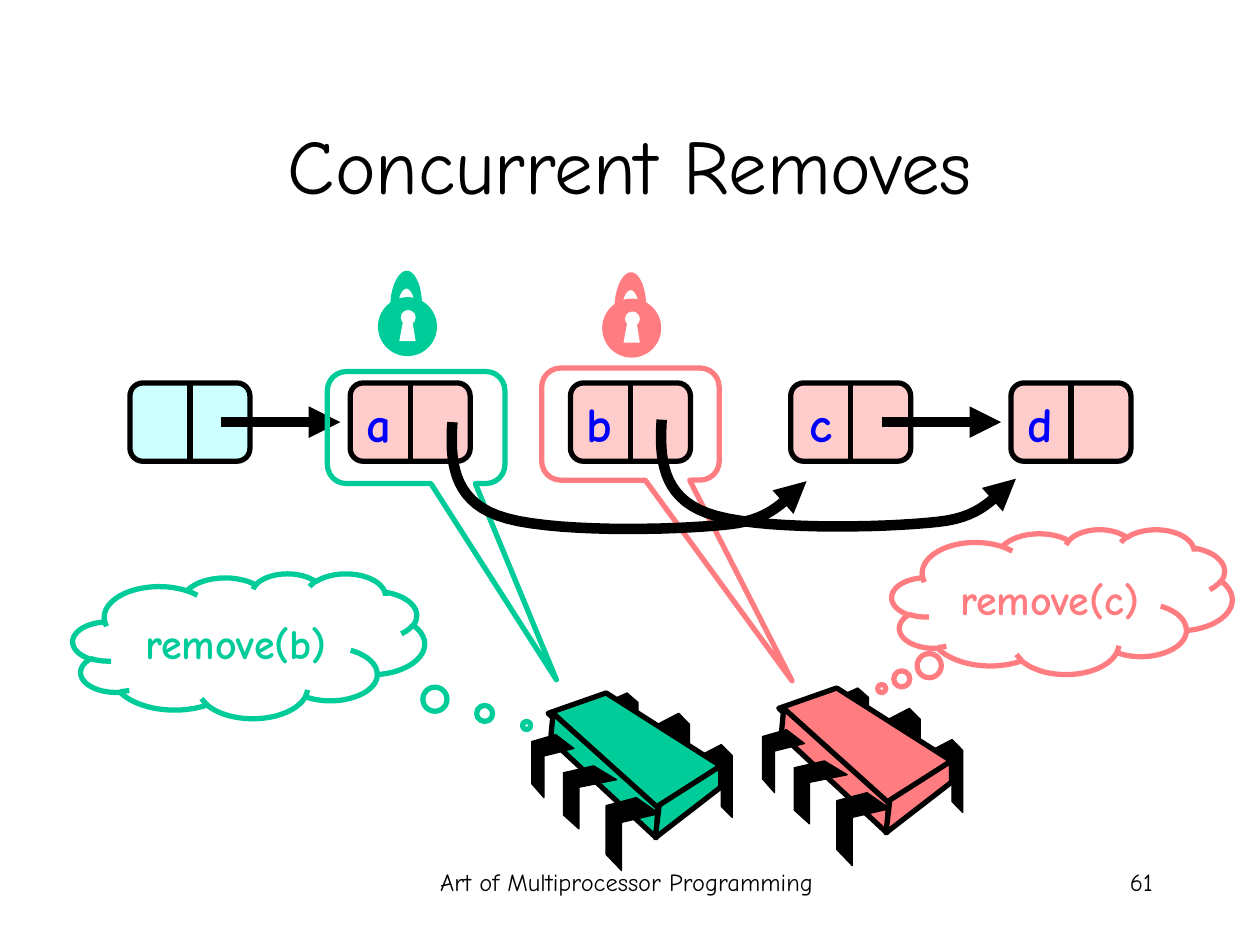
from lxml import etree
from pptx import Presentation
from pptx import util as u
from pptx.dml.color import RGBColor
from pptx.enum import shapes as s, text as t
from pptx.oxml.ns import qn

FONT = "Comic Neue"
BLACK, WHITE, BLUE = "000000", "FFFFFF", "0000FF"
GREEN, RED, PINK, CYAN = "00CC99", "FF7C80", "FFCCCC", "CCFFFF"
NODE_W, NODE_H, NODE_TOP = 2.42, 1.58, 7.72
FIRST_NODE, NODE_PITCH = 2.62, 4.44
CALLOUT_W, CALLOUT_H = 3.58, 2.26
BACK_PIN = [(0, .15), (.66, 0), (1, .15), (1, 1), (.66, .85), (.66, .28), (0, .43)]
FRONT_PIN = [(.57, 0), (1, .22), (.29, .34), (.29, 1), (0, .78), (0, .11)]


def color(hex_value):
    """Turn a hex string into a colour."""
    return RGBColor.from_string(hex_value)


def cm(*lengths):
    """Turn numbers in centimetres into lengths."""
    return [u.Cm(length) for length in lengths]


def paint(shape, fill=None, line=None, width=3.0):
    """Give a shape its fill and outline, without a shadow."""
    shape.shadow.inherit = False
    if fill:
        shape.fill.solid()
        shape.fill.fore_color.rgb = color(fill)
    else:
        shape.fill.background()
    if line:
        shape.line.color.rgb = color(line)
        shape.line.width = u.Pt(width)
    else:
        shape.line.fill.background()
    return shape


def write(frame, words, size, ink, align, bold=False):
    """Put one formatted line of text in a frame."""
    frame.text = words
    paragraph = frame.paragraphs[0]
    paragraph.alignment = align
    font = paragraph.runs[0].font
    font.name, font.size, font.bold = FONT, u.Pt(size), bold
    font.color.rgb = color(ink)


def add_text(shapes, box, words, size, ink, align, bold=False, wrap=True):
    """Add a text box."""
    frame = shapes.add_textbox(*cm(*box)).text_frame
    write(frame, words, size, ink, align, bold)
    frame.word_wrap = wrap


def outline(shapes, left, top, points, closed=True):
    """Add a freeform through points relative to a corner."""
    corners = [cm(left + x, top + y) for x, y in points]
    builder = shapes.build_freeform(*corners[0])
    builder.add_line_segments(corners[1:], close=closed)
    return builder.convert_to_shape()


def curve(start, *segments, steps=16):
    """Return points along a chain of cubic curves."""
    points = [start]
    for c1, c2, end in segments:
        first = points[-1]
        for step in range(1, steps + 1):
            k = step / steps
            weights = ((1 - k) ** 3, 3 * k * (1 - k) ** 2, 3 * k * k * (1 - k), k ** 3)
            points.append(tuple(
                sum(w * p[axis] for w, p in zip(weights, (first, c1, c2, end)))
                for axis in (0, 1)))
    return points


def add_line(shapes, x1, y1, x2, y2, width):
    """Add a straight black connector."""
    line = shapes.add_connector(s.MSO_CONNECTOR.STRAIGHT, *cm(x1, y1, x2, y2))
    line.line.color.rgb = color(BLACK)
    line.line.width = u.Pt(width)
    etree.SubElement(line._element.spPr, qn("a:effectLst"))
    return line


def add_head(shape):
    """End a line with a triangle."""
    line = shape._element.spPr.find(qn("a:ln"))
    etree.SubElement(line, qn("a:tailEnd"), type="triangle")


def add_node(slide, left, top, label, fill):
    """Draw a list node with a value half and a pointer half."""
    parts = slide.shapes.add_group_shape().shapes
    cell = parts.add_shape(s.MSO_SHAPE.ROUNDED_RECTANGLE, *cm(left, top, NODE_W, NODE_H))
    paint(cell, fill, BLACK)
    middle = left + NODE_W / 2
    divider = add_line(parts, middle, top, middle, top + NODE_H, 3)
    divider.begin_connect(cell, 0)
    divider.end_connect(cell, 2)
    if label:
        add_text(parts, (left, top + .08, 1.09, 1.45), label, 28, BLUE,
                 t.PP_ALIGN.RIGHT, bold=True, wrap=False)


def add_next_arrow(slide, left, top):
    """Point from a node's pointer half to the next node."""
    y = top + NODE_H / 2
    add_head(add_line(slide.shapes, left + 1.83, y, left + 4.24, y, 6))


def add_skip_arrow(slide, left, top):
    """Point from a node past its successor."""
    sweep = curve((0, 0), ((-.05, .76), (0, 1.55), (.91, 1.88)),
                  ((1.85, 2.24), (4.52, 2.18), (5.56, 2.06)),
                  ((6.6, 1.96), (6.81, 1.37), (7.14, 1.19)))
    arrow = outline(slide.shapes, left, top, sweep, closed=False)
    add_head(paint(arrow, line=BLACK, width=6))


def add_chip(slide, left, top, fill):
    """Draw a processor chip with three pins on each side."""
    parts = slide.shapes.add_group_shape().shapes

    def add_pins(profile, boxes):
        """Scale one pin profile into each box."""
        for x, y, w, h in boxes:
            points = [(px * w, py * h) for px, py in profile]
            paint(outline(parts, left + x, top + y, points), BLACK, BLACK, .75)

    add_pins(BACK_PIN, [(3.4, 1.04, .64, 1.47), (2.54, .41, .64, 1.47), (1.5, 0, .64, 1.27)])
    top_face = [(1.5, 0), (3.81, 1.47), (2.51, 2.36), (.33, .41)]
    left_face = [(.43, .41), (2.54, 2.31), (2.51, 2.92), (.38, .94)]
    right_face = [(3.81, 1.47), (3.81, 1.9), (2.49, 2.92), (2.57, 2.26)]
    for face in (top_face, left_face, right_face):
        paint(outline(parts, left, top, face), fill, BLACK)
    add_pins(FRONT_PIN, [(1.5, 2.11, 1.07, 1.47), (.64, 1.47, 1.07, 1.27), (0, .84, .85, 1.27)])


def add_lock(slide, left, top, fill):
    """Draw a closed padlock."""
    parts = slide.shapes.add_group_shape().shapes
    for x, y, size, ink in ((0, .53, 1.19, fill), (.46, .79, .3, WHITE)):
        disc = parts.add_shape(s.MSO_SHAPE.OVAL, *cm(left + x, top + y, size, size))
        paint(disc, ink)
    slot = [(.43, 1.42), (.51, .99), (.69, .99), (.76, 1.42)]
    paint(outline(parts, left, top, slot), WHITE)
    inner = curve((.41, .71), ((.41, .53), (.48, .36), (.58, .36)),
                  ((.66, .36), (.74, .53), (.74, .71)))
    outer = curve((.89, .71), ((.89, .33), (.76, 0), (.58, 0)),
                  ((.41, 0), (.25, .33), (.25, .71)))
    paint(outline(parts, left, top, inner + outer), fill)


def add_callout(slide, kind, box, adjustments, ink):
    """Add an unfilled callout whose tail is set by its adjustments."""
    callout = paint(slide.shapes.add_shape(kind, *cm(*box)), line=ink)
    for index, value in enumerate(adjustments):
        callout.adjustments[index] = value
    return callout


def add_thought(slide, box, tail, words, ink):
    """Add a thought cloud with a method call in it."""
    cloud = add_callout(slide, s.MSO_SHAPE.CLOUD_CALLOUT, box, tail, ink)
    cloud.text_frame.vertical_anchor = t.MSO_ANCHOR.MIDDLE
    write(cloud.text_frame, words, 24, ink, t.PP_ALIGN.CENTER, bold=True)


def add_title(slide, box, words):
    """Place and fill the title."""
    title = slide.shapes.title
    title.left, title.top, title.width, title.height = cm(*box)
    title.text_frame.vertical_anchor = t.MSO_ANCHOR.MIDDLE
    write(title.text_frame, words, 44, BLACK, t.PP_ALIGN.CENTER)


def main():
    """Build and save the slide."""
    deck = Presentation()
    deck.slide_width, deck.slide_height = cm(25.4, 19.05)
    slide = deck.slides.add_slide(deck.slide_layouts[5])
    add_title(slide, (1.91, 1.7, 21.59, 3.18), "Concurrent Removes")
    add_text(slide.shapes, (7.87, 17.35, 9.53, 1.27), "Art of Multiprocessor Programming",
             14, BLACK, t.PP_ALIGN.CENTER)
    add_text(slide.shapes, (18.21, 17.35, 5.28, 1.27), "61", 14, BLACK, t.PP_ALIGN.RIGHT)

    for index, label in enumerate(["", "a", "b", "c", "d"]):
        left = FIRST_NODE + index * NODE_PITCH
        add_node(slide, left, NODE_TOP, label, PINK if label else CYAN)
        if label in ("", "c"):
            add_next_arrow(slide, left, NODE_TOP)

    add_chip(slide, 10.72, 13.97, GREEN)
    add_chip(slide, 15.37, 13.87, RED)
    wedge = s.MSO_SHAPE.ROUNDED_RECTANGULAR_CALLOUT
    add_callout(slide, wedge, (10.92, 7.42, CALLOUT_W, CALLOUT_H), (.91, 2.29, .17), RED)
    add_thought(slide, (1.47, 11.56, 7.09, 2.92), (.79, .55), "remove(b)", GREEN)
    add_thought(slide, (17.98, 10.67, 6.86, 2.92), (-.53, .6), "remove(c)", RED)
    add_lock(slide, 7.62, 5.46, GREEN)
    add_callout(slide, wedge, (6.6, 7.49, CALLOUT_W, CALLOUT_H), (.79, 2.25, .17), GREEN)
    add_lock(slide, 12.14, 5.49, RED)
    add_skip_arrow(slide, 13.34, 8.46)
    add_skip_arrow(slide, 9.12, 8.51)
    deck.save("out.pptx")


if __name__ == "__main__":
    main()
